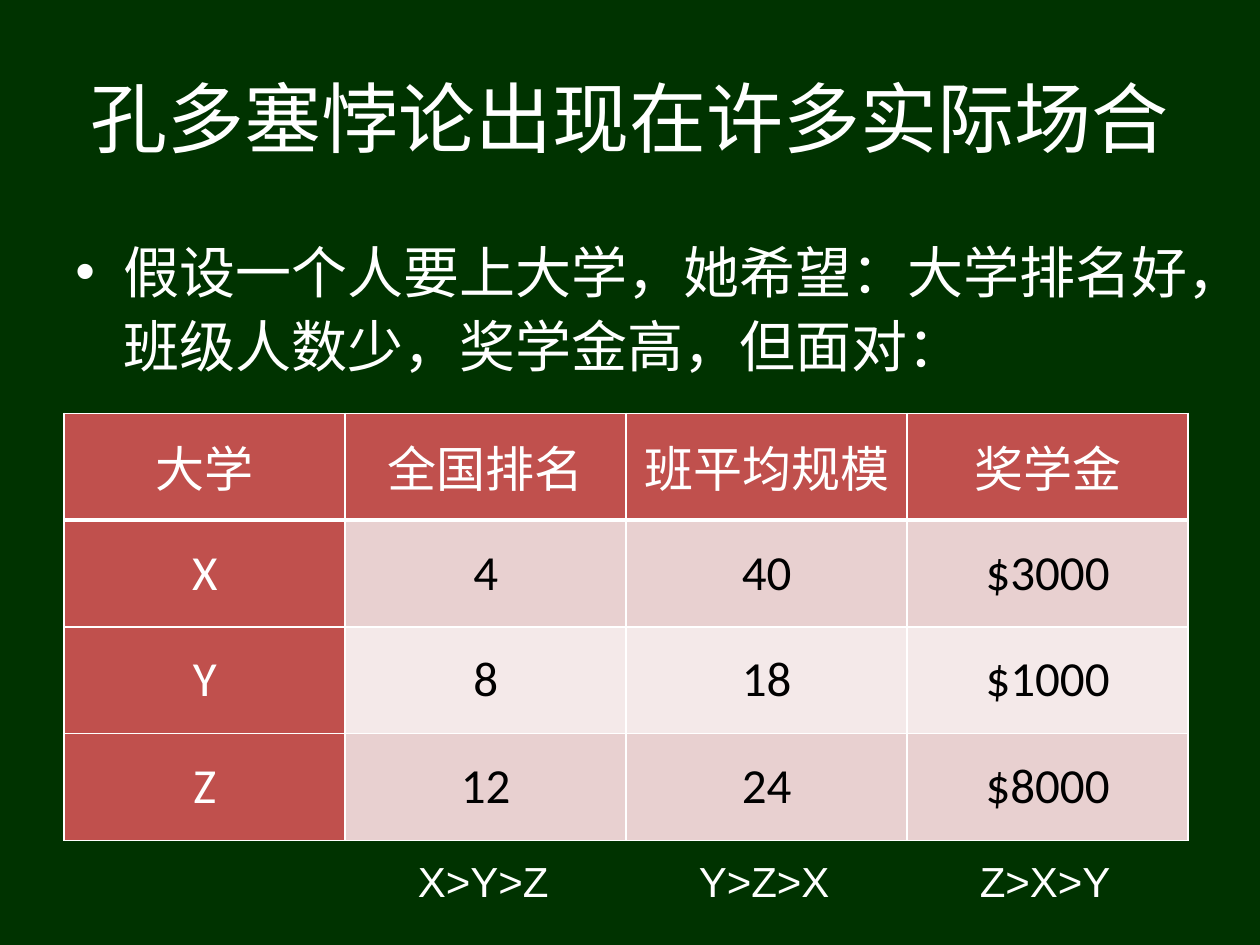
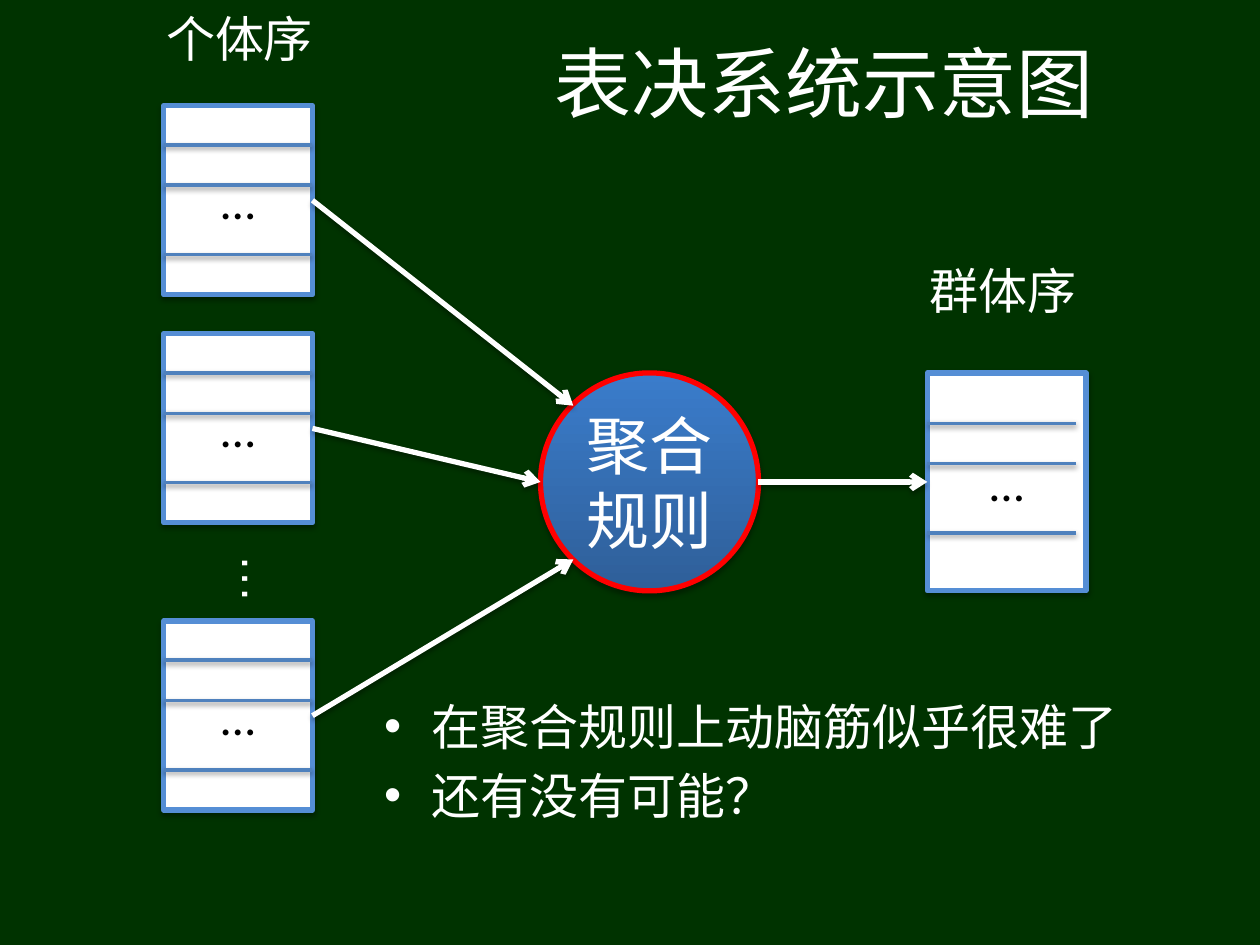
import pptx
import pptx.util
import pptx.dml.color
import pptx.enum.shapes
import pptx.enum.text
import pptx.oxml.ns
import lxml.etree

Inches = pptx.util.Inches
Pt = pptx.util.Pt
qn = pptx.oxml.ns.qn
rgb = pptx.dml.color.RGBColor.from_string
SubElement = lxml.etree.SubElement
SHAPE = pptx.enum.shapes.MSO_SHAPE
ALIGN = pptx.enum.text.PP_ALIGN
MIDDLE = pptx.enum.text.MSO_ANCHOR.MIDDLE

CJK = "Noto Sans CJK SC"
GREEN, WHITE, BLACK = "003300", "FFFFFF", "000000"
RED, PINK, PALE = "C0504D", "E8D0D0", "F4E9E9"
BORDER, DIVIDER, RING = "558ED5", "4F81BD", "FF0000"


def write(tf, lines, size, font=CJK, color=WHITE, align=ALIGN.CENTER, bullet=False, spacing=None):
    tf.word_wrap = True
    tf.text = "\n".join(lines)
    for i, p in enumerate(tf.paragraphs):
        p.alignment = align
        if spacing:
            p.line_spacing = spacing
        if i:
            p.space_before = Pt(size * 0.2)
        if bullet:
            pPr = p._p.get_or_add_pPr()
            pPr.set("marL", str(Inches(0.38)))
            pPr.set("indent", str(Inches(-0.38)))
            SubElement(pPr, qn("a:buFont")).set("typeface", "Arial")
            SubElement(pPr, qn("a:buChar")).set("char", "•")
        for r in p.runs:
            r.font.size = Pt(size)
            r.font.name = font
            r.font.color.rgb = rgb(color)
            SubElement(r._r.get_or_add_rPr(), qn("a:ea")).set("typeface", font)


def add_shadow(spPr, opacity, distance):
    effects = spPr.find(qn("a:effectLst"))
    if effects is None:
        effects = SubElement(spPr, qn("a:effectLst"))
    shadow = SubElement(effects, qn("a:outerShdw"), blurRad=str(Pt(3.1)), dist=str(Pt(distance)),
                        dir="5400000", rotWithShape="0")
    clr = SubElement(shadow, qn("a:srgbClr"), val=BLACK)
    SubElement(clr, qn("a:alpha"), val=str(opacity * 1000))


prs = pptx.Presentation()
prs.slide_width, prs.slide_height = Inches(10), Inches(7.5)
slides = []
titles = [
    ("孔多塞悖论出现在许多实际场合", 0.5, 9, 1.25),
    ("表决系统示意图", 3.58, 5.92, 0.69),
]
for title, x, w, h in titles:
    s = prs.slides.add_slide(prs.slide_layouts[6])
    s.background.fill.solid()
    s.background.fill.fore_color.rgb = rgb(GREEN)
    tf = s.shapes.add_textbox(Inches(x), Inches(0.3), Inches(w), Inches(h)).text_frame
    write(tf, [title], 44)
    tf.vertical_anchor = MIDDLE
    slides.append(s)

s = slides[0]
tf = s.shapes.add_textbox(Inches(0.5), Inches(1.78), Inches(9.3), Inches(1.34)).text_frame
write(tf, ["假设一个人要上大学，她希望：大学排名好，班级人数少，奖学金高，但面对："],
      32, align=ALIGN.LEFT, bullet=True, spacing=1.1)

rows = [
    ["大学", "全国排名", "班平均规模", "奖学金"],
    ["X", "4", "40", "$3000"],
    ["Y", "8", "18", "$1000"],
    ["Z", "12", "24", "$8000"],
]
left, col_w = 0.51, 2.23
table = s.shapes.add_table(4, 4, Inches(left), Inches(3.28), Inches(4 * col_w), Inches(3.39)).table
for i, row in enumerate(rows):
    for j, value in enumerate(row):
        cell = table.cell(i, j)
        heading = i == 0 or j == 0
        write(cell.text_frame, [value], 28, CJK if i == 0 else "Calibri", WHITE if heading else BLACK)
        cell.vertical_anchor = MIDDLE
        cell.fill.solid()
        cell.fill.fore_color.rgb = rgb(RED if heading else PINK if i % 2 else PALE)
        tcPr = cell._tc.get_or_add_tcPr()
        for k, side in enumerate(["a:lnL", "a:lnR", "a:lnT", "a:lnB"]):
            width = 3 if i == 0 and side == "a:lnB" else 1
            ln = SubElement(tcPr, qn(side), w=str(Pt(width)))
            SubElement(SubElement(ln, qn("a:solidFill")), qn("a:srgbClr"), val=WHITE)
            tcPr.insert(k, ln)

for j, order in enumerate(["X>Y>Z", "Y>Z>X", "Z>X>Y"], 1):
    sp = s.shapes.add_textbox(Inches(left - 0.02 + j * col_w), Inches(6.74), Inches(col_w), Inches(0.5))
    write(sp.text_frame, [order], 24, "Arial")

s = slides[1]
tf = s.shapes.add_textbox(Inches(2.95), Inches(5.48), Inches(6.85), Inches(1.26)).text_frame
write(tf, ["在聚合规则上动脑筋似乎很难了", "还有没有可能？"], 28, align=ALIGN.LEFT, bullet=True)

ballot_x, ballot_w, ballot_h = 1.3, 1.18, 1.5
ballot_tops = [0.84, 2.65, 4.93]
result_x, rule_x, rule_y, rule_d = 7.36, 4.29, 2.96, 1.73
mid_y = rule_y + rule_d / 2

boxes = [(ballot_x, y, ballot_w, ballot_h) for y in ballot_tops]
boxes.append((result_x, rule_y, 1.26, rule_d))
for x, y, w, h in boxes:
    sp = s.shapes.add_shape(SHAPE.RECTANGLE, Inches(x), Inches(y), Inches(w), Inches(h))
    sp.fill.solid()
    sp.fill.fore_color.rgb = rgb(WHITE)
    sp.line.color.rgb = rgb(BORDER)
    sp.line.width = Pt(3)
    sp.shadow.inherit = False
    add_shadow(sp._element.spPr, 35, 1.8)
    write(sp.text_frame, ["…"], 28, "Calibri", BLACK)
    sp.text_frame.vertical_anchor = MIDDLE

sp = s.shapes.add_shape(SHAPE.OVAL, Inches(rule_x), Inches(rule_y), Inches(rule_d), Inches(rule_d))
sp.fill.gradient()
sp.fill.gradient_angle = 90
for stop, color in zip(sp.fill.gradient_stops, ["2F5F99", "3A7CCB"]):
    stop.color.rgb = rgb(color)
sp.line.color.rgb = rgb(RING)
sp.line.width = Pt(3)
sp.shadow.inherit = False
add_shadow(sp._element.spPr, 35, 1.8)
write(sp.text_frame, ["聚合规则"], 36)
sp.text_frame.vertical_anchor = MIDDLE

lines = []
for x, top in [(ballot_x, y) for y in ballot_tops] + [(result_x, 3.05)]:
    for dy in [0.31, 0.63, 1.18]:
        lines.append((x, top + dy, x + ballot_w, top + dy, DIVIDER, 2))
tips = [(4.55, 3.22), (rule_x, mid_y), (4.55, 4.44)]
for top, (x, y) in zip(ballot_tops, tips):
    lines.append((ballot_x + ballot_w, top + ballot_h / 2, x, y, WHITE, 3))
lines.append((rule_x + rule_d, mid_y, result_x, mid_y, WHITE, 3))
for x1, y1, x2, y2, color, width in lines:
    c = s.shapes.add_connector(pptx.enum.shapes.MSO_CONNECTOR.STRAIGHT,
                               Inches(x1), Inches(y1), Inches(x2), Inches(y2))
    c.line.color.rgb = rgb(color)
    c.line.width = Pt(width)
    if color == WHITE:
        SubElement(c.line._get_or_add_ln(), qn("a:tailEnd"), type="arrow")
    add_shadow(c._element.spPr, 38, 1.6)

labels = [
    ("个体序", 1.22, 0.02, 1.65, 0.57, CJK),
    ("群体序", 7.28, 2.02, 1.5, 0.57, CJK),
    ("…", 1.69, 4.3, 0.67, 0.47, "Arial"),
]
for label, x, y, w, h, font in labels:
    tf = s.shapes.add_textbox(Inches(x), Inches(y), Inches(w), Inches(h)).text_frame
    write(tf, [label], 28, font, align=ALIGN.LEFT)
    if label == "…":
        tf._txBody.bodyPr.set("vert", "eaVert")

prs.save("out.pptx")
